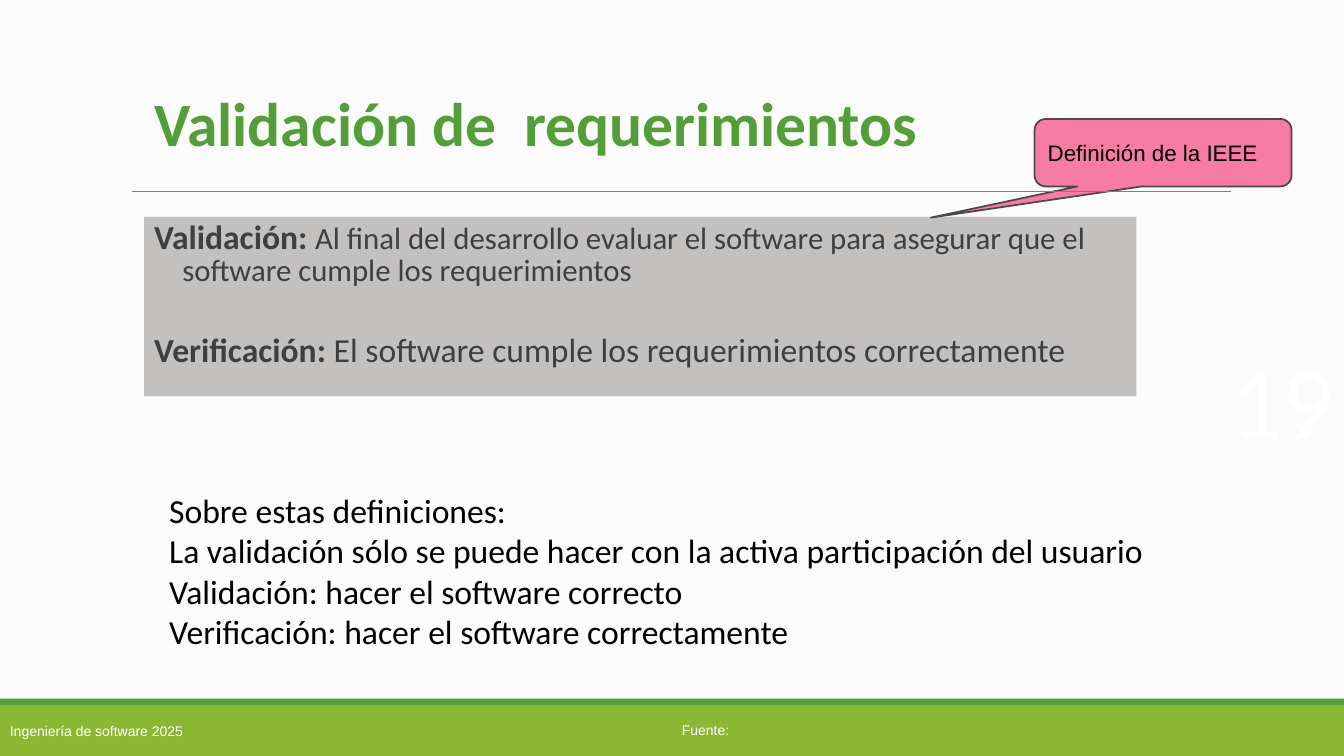
from dataclasses import dataclass

from pptx import Presentation
from pptx.dml.color import RGBColor as RGB
from pptx.enum.shapes import MSO_CONNECTOR as Link, MSO_SHAPE as Preset
from pptx.enum.text import MSO_ANCHOR as Anchor, MSO_AUTO_SIZE as Fit, PP_ALIGN as Align
from pptx.oxml import parse_xml
from pptx.oxml.ns import nsdecls
from pptx.util import Inches, Pt


@dataclass(frozen=True)
class Theme:
    paper: str = "FBFBFB"
    green: str = "549E39"
    lime: str = "8AB833"
    panel: str = "C3C0C0"
    pink: str = "F67BA5"
    outline: str = "4C4848"
    rule: str = "7F7F7F"
    dark: str = "3F3F3F"
    black: str = "000000"
    white: str = "FFFFFF"
    heading: str = "Calibri"
    label: str = "Arial"
    title_size: int = 44
    body_size: int = 24
    detail_size: int = 22
    callout_size: int = 16
    footer_size: int = 10
    number_size: int = 72


theme = Theme()
deck = Presentation()
deck.slide_width, deck.slide_height = Inches(13.33), Inches(7.5)
slide = deck.slides.add_slide(deck.slide_layouts[5])
slide.background.fill.solid()
slide.background.fill.fore_color.rgb = RGB.from_string(theme.paper)
shapes = slide.shapes


def grid(left, top, width, height):
    """Turn a cell of a 100 x 100 grid into slide lengths."""
    column, row = deck.slide_width / 100, deck.slide_height / 100
    return [round(n) for n in (left * column, top * row, width * column, height * row)]


def write(holder, lines, size, color, font=theme.heading, anchor=Anchor.TOP, align=Align.LEFT):
    """Set the lines of a shape and format their runs."""
    frame = holder.text_frame
    frame.text = "\n".join(lines)
    frame.word_wrap, frame.auto_size, frame.vertical_anchor = True, Fit.NONE, anchor
    for paragraph in frame.paragraphs:
        paragraph.alignment = align
        for run in paragraph.runs:
            run.font.size, run.font.name = Pt(size), font
            run.font.color.rgb = RGB.from_string(color)
    return frame


# Filled areas: footer band, green strip, definitions panel and callout
areas = []
for preset, cell, color in [
    (Preset.RECTANGLE, (0, 93.33, 100, 6.67), theme.lime),
    (Preset.RECTANGLE, (0, 92.4, 100, 0.93), theme.green),
    (Preset.RECTANGLE, (10.73, 28.67, 73.82, 23.73), theme.panel),
    (Preset.ROUNDED_RECTANGULAR_CALLOUT, (76.97, 15.73, 19.13, 8.93), theme.pink),
]:
    area = shapes.add_shape(preset, *grid(*cell))
    area.shadow.inherit = False
    area.fill.solid()
    area.fill.fore_color.rgb = RGB.from_string(color)
    area.line.fill.background()
    areas.append(area)
footer, strip, definitions, callout = areas

# Footer
write(footer, ["Ingeniería de software 2025"], theme.footer_size, theme.white,
      theme.label, Anchor.MIDDLE)
credit = shapes.add_textbox(*grid(50, 94.8, 8, 3.6))
write(credit, ["Fuente:"], theme.footer_size, theme.white, theme.label)

# Title and the rule below it
title = shapes.title
title.left, title.top, title.width, title.height = grid(10.73, 7.6, 62.64, 18.53)
heading = write(title, ["Validación de  requerimientos"], theme.title_size, theme.green,
                anchor=Anchor.MIDDLE).paragraphs[0]
heading.line_spacing = 0.85
heading.runs[0].font.bold = True

left, top, width, _ = grid(9.83, 25.33, 81.77, 0)
rule = shapes.add_connector(Link.STRAIGHT, left, top, left + width, top)
rule.line.color.rgb = RGB.from_string(theme.rule)
rule.line.width = Pt(0.75)
rule._element.spPr.append(parse_xml(f"<a:effectLst {nsdecls('a')}/>"))

# Definitions: bold term, then its meaning on a hanging indent
meanings = [
    ("Validación: ", "Al final del desarrollo evaluar el software para asegurar que el "
     "software cumple los requerimientos", theme.detail_size, 0),
    ("Verificación:", " El software cumple los requerimientos correctamente",
     theme.body_size, 34),
]
terms = write(definitions, [term for term, *_ in meanings], theme.body_size, theme.dark)
for paragraph, (_, meaning, size, gap) in zip(terms.paragraphs, meanings):
    paragraph.line_spacing, paragraph.space_before = 0.85, Pt(gap)
    hanging = paragraph._p.get_or_add_pPr()
    hanging.set("marL", str(Inches(0.28)))
    hanging.set("indent", str(Inches(-0.28)))
    paragraph.runs[0].font.bold = True
    detail = paragraph.add_run()
    detail.text = meaning
    detail.font.size, detail.font.name, detail.font.bold = Pt(size), theme.heading, False
    detail.font.color.rgb = RGB.from_string(theme.dark)

# Remarks on the definitions
remarks = shapes.add_textbox(*grid(11.85, 64.13, 83.57, 22.93))
write(remarks, [
    "Sobre estas definiciones:",
    "La validación sólo se puede hacer con la activa participación del usuario",
    "Validación: hacer el software correcto",
    "Verificación: hacer el software correctamente",
], theme.body_size, theme.black)

# Callout pointing at the definitions
for index, ratio in enumerate((-0.903, 0.962, 0.167)):
    callout.adjustments[index] = ratio
callout.line.color.rgb = RGB.from_string(theme.outline)
callout.line.width = Pt(1.25)
write(callout, ["Definición de la IEEE"], theme.callout_size, theme.black,
      theme.label, Anchor.MIDDLE)

# Slide number
number = shapes.add_textbox(*grid(89.27, 44, 10.73, 17.6))
write(number, ["19"], theme.number_size, theme.white, align=Align.RIGHT)

deck.save("out.pptx")
